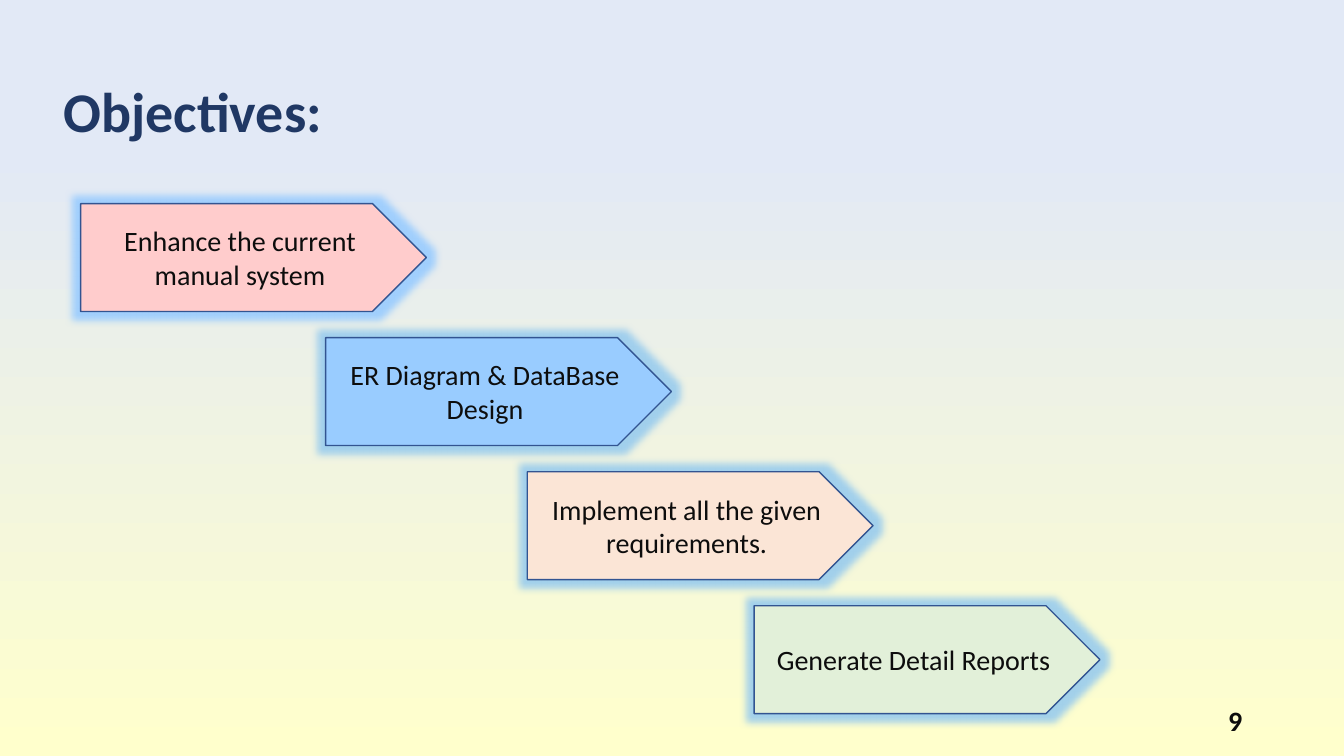
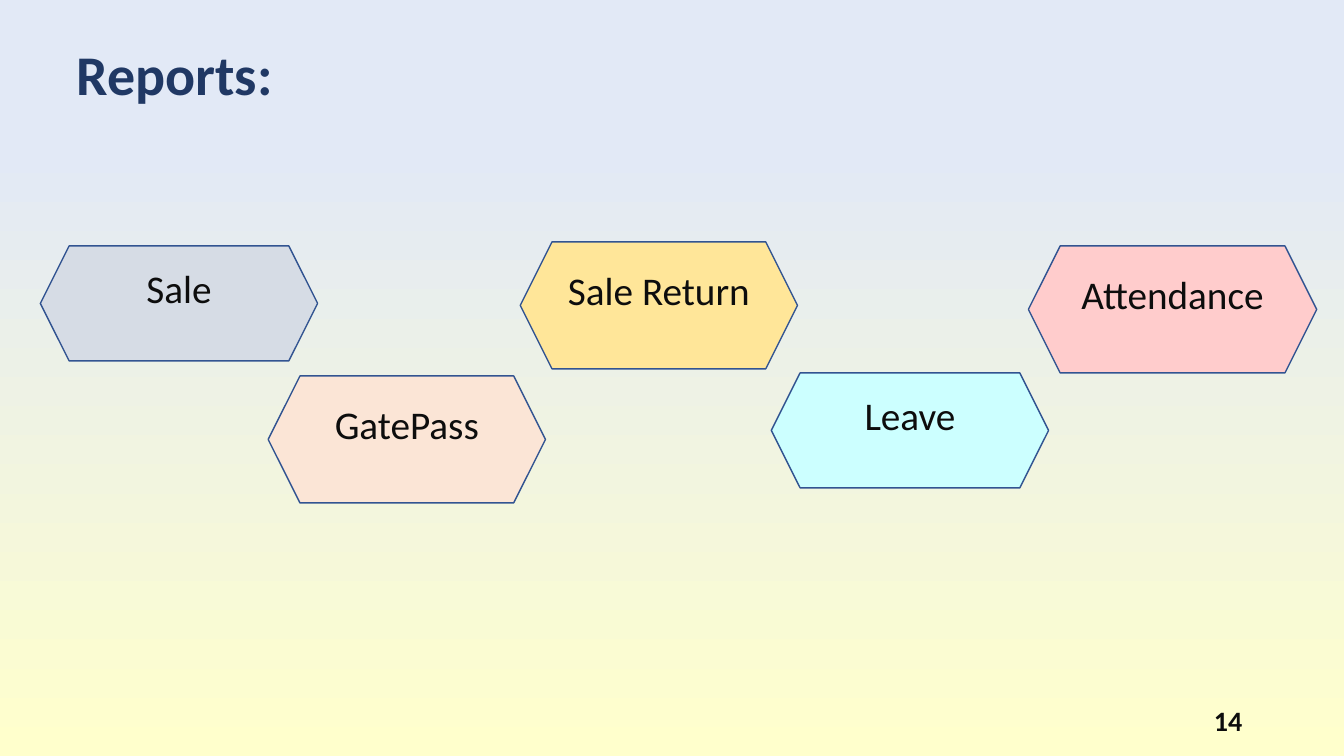
from dataclasses import dataclass

from lxml import etree
from pptx import Presentation
from pptx.dml.color import RGBColor
from pptx.enum.shapes import MSO_SHAPE as Shape
from pptx.enum.text import MSO_ANCHOR as Anchor, MSO_AUTO_SIZE as AutoSize, PP_ALIGN as Align
from pptx.oxml.ns import qn
from pptx.util import Inches, Pt


@dataclass(frozen=True)
class Theme:
    font: str = "Calibri"
    title: str = "203864"
    ink: str = "0D0D0D"
    outline: str = "325491"
    sky: str = "E2E9F6"
    cream: str = "FFFFCC"
    pink: str = "FFCCCC"
    blue: str = "99CCFF"
    peach: str = "FBE5D6"
    green: str = "E2F0D9"
    grey: str = "D6DCE5"
    gold: str = "FFE699"
    aqua: str = "CCFFFF"
    soft_glow: str = "99CCEE"
    title_size: int = 40
    report_size: int = 28
    body_size: int = 20


THEME = Theme()

# Content: objectives as (text, left, fill, glow)
OBJECTIVES = [
    ("Enhance the current manual system", 0.8, THEME.pink, THEME.blue),
    ("ER Diagram & DataBase Design", 3.23, THEME.blue, THEME.soft_glow),
    ("Implement all the given requirements.", 5.23, THEME.peach, THEME.soft_glow),
    ("Generate Detail Reports", 7.48, THEME.green, THEME.soft_glow),
]
OBJECTIVE_SIZE = (3.43, 1.07)
FIRST_TOP, STEP_DOWN = 2.02, 1.33

# Content: reports as (text, (left, top, width, height), fill)
REPORTS = [
    ("Sale", (0.4, 2.44, 2.75, 1.14), THEME.grey),
    ("Attendance", (10.2, 2.44, 2.86, 1.26), THEME.pink),
    ("Leave", (7.65, 3.7, 2.75, 1.14), THEME.aqua),
    ("GatePass", (2.66, 3.73, 2.75, 1.26), THEME.peach),
    ("Sale Return", (5.16, 2.4, 2.75, 1.26), THEME.gold),
]


def rgb(color):
    return RGBColor.from_string(color)


def write(frame, text, size, color, align, bold=False):
    frame.text = text
    frame.word_wrap = True
    paragraph = frame.paragraphs[0]
    paragraph.alignment = align
    font = paragraph.runs[0].font
    font.name, font.size, font.bold = THEME.font, Pt(size), bold
    font.color.rgb = rgb(color)


def paint_background(master):
    fill = master.background.fill
    fill.gradient()
    fill.gradient_angle = 270
    for stop, position, color in zip(fill.gradient_stops, (0.19, 1), (THEME.sky, THEME.cream)):
        stop.position = position
        stop.color.rgb = rgb(color)


def add_slide(deck, title, number, left, top):
    slide = deck.slides.add_slide(deck.slide_layouts[5])
    heading = slide.shapes.title
    heading.left, heading.top, heading.width, heading.height = map(Inches, (left, top, 7.4, 0.77))
    frame = heading.text_frame
    write(frame, title, THEME.title_size, THEME.title, Align.LEFT, bold=True)
    frame.vertical_anchor = Anchor.TOP
    frame.auto_size = AutoSize.NONE

    page = slide.shapes.add_textbox(*map(Inches, (9.42, 6.95, 3, 0.4))).text_frame
    write(page, number, THEME.body_size, THEME.ink, Align.RIGHT, bold=True)
    page.vertical_anchor = Anchor.MIDDLE
    return slide


def add_block(slide, kind, box, text, fill, size):
    block = slide.shapes.add_shape(kind, *map(Inches, box))
    block.shadow.inherit = False
    block.fill.solid()
    block.fill.fore_color.rgb = rgb(fill)
    block.line.color.rgb = rgb(THEME.outline)
    block.line.width = Pt(1)
    write(block.text_frame, text, size, THEME.ink, Align.CENTER)
    block.text_frame.vertical_anchor = Anchor.MIDDLE
    return block


def add_glow(block, color):
    effects = block._element.spPr.find(qn("a:effectLst"))
    glow = etree.SubElement(effects, qn("a:glow"), rad=str(Pt(11)))
    tint = etree.SubElement(glow, qn("a:srgbClr"), val=color)
    etree.SubElement(tint, qn("a:alpha"), val="90000")


def build_objectives(deck):
    slide = add_slide(deck, "Objectives:", "9", 0.53, 0.71)
    for step, (text, left, fill, glow) in enumerate(OBJECTIVES):
        box = (left, FIRST_TOP + step * STEP_DOWN, *OBJECTIVE_SIZE)
        add_glow(add_block(slide, Shape.PENTAGON, box, text, fill, THEME.body_size), glow)


def build_reports(deck):
    slide = add_slide(deck, "Reports:", "14", 0.66, 0.34)
    for text, box, fill in REPORTS:
        report = add_block(slide, Shape.HEXAGON, box, text, fill, THEME.report_size)
        # A deeper bottom margin lifts the label above the middle
        report.text_frame.margin_top = 0
        report.text_frame.margin_bottom = Inches(0.3)


def main():
    deck = Presentation()
    deck.slide_width, deck.slide_height = Inches(13.33), Inches(7.5)
    paint_background(deck.slide_master)
    build_objectives(deck)
    build_reports(deck)
    deck.save("out.pptx")


if __name__ == "__main__":
    main()
